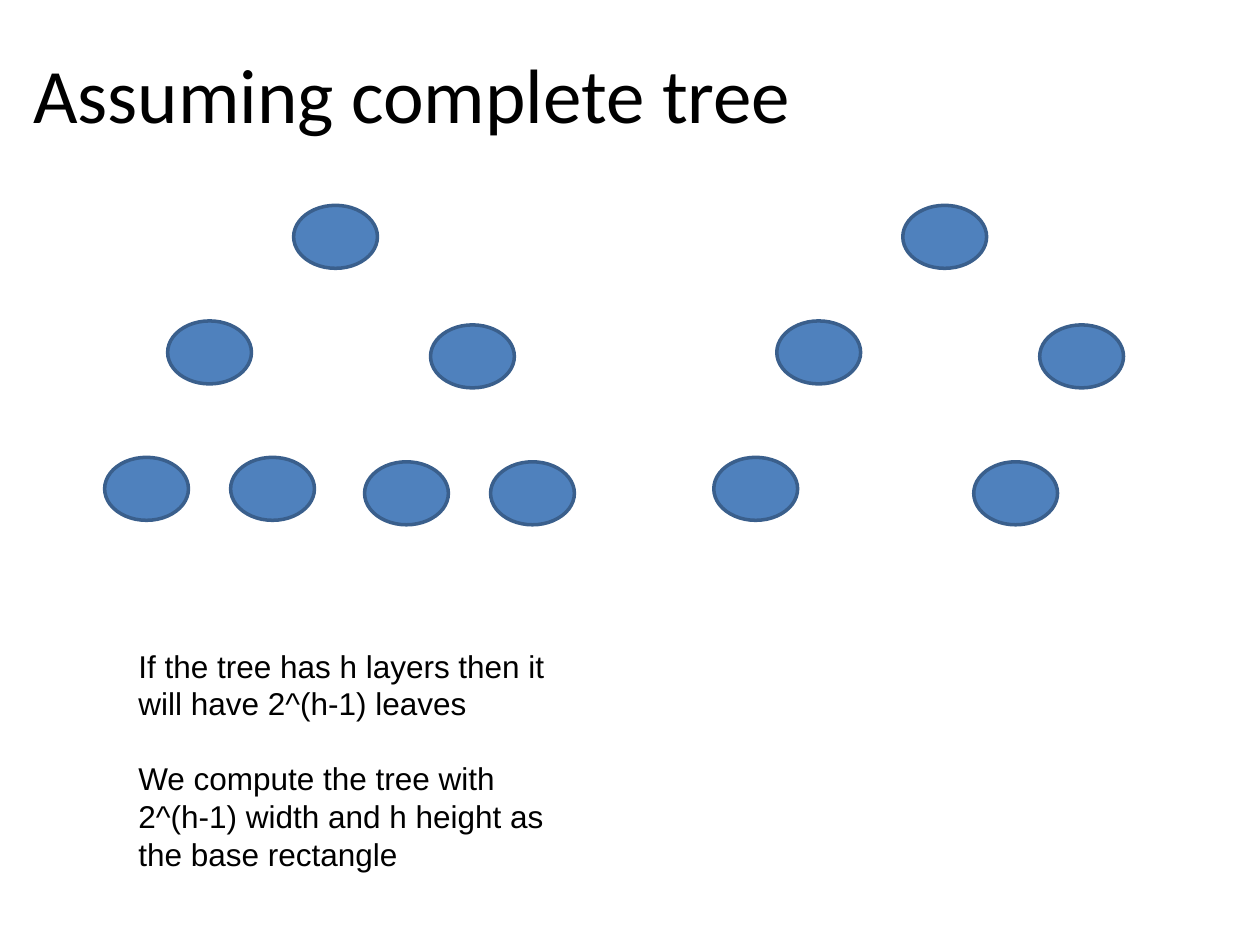
from pptx import Presentation
from pptx.dml.color import RGBColor
from pptx.enum.shapes import MSO_SHAPE
from pptx.enum.text import MSO_ANCHOR
from pptx.util import Cm, Pt


def color(hex_code):
    return RGBColor.from_string(hex_code)


class TreeSlide:
    TEXT = "000000"
    NODE_FILL = "4F81BD"
    NODE_LINE = "3A5F8C"
    NODE_WIDTH, NODE_HEIGHT = 1.69, 1.27

    def __init__(self, presentation):
        self.slide = presentation.slides.add_slide(presentation.slide_layouts[6])

    def text(self, left, top, width, height, paragraphs, font, size,
             anchor=MSO_ANCHOR.TOP, gap=0):
        """Add a text box with gap points between its paragraphs."""
        box = self.slide.shapes.add_textbox(Cm(left), Cm(top), Cm(width), Cm(height))
        frame = box.text_frame
        frame.word_wrap = True
        frame.vertical_anchor = anchor
        for index, wording in enumerate(paragraphs):
            paragraph = frame.paragraphs[0]
            if index:
                paragraph = frame.add_paragraph()
                paragraph.space_before = Pt(gap)
            run = paragraph.add_run()
            run.text = wording
            run.font.name = font
            run.font.size = Pt(size)
            run.font.color.rgb = color(self.TEXT)

    def node(self, left, top):
        oval = self.slide.shapes.add_shape(
            MSO_SHAPE.OVAL, Cm(left), Cm(top), Cm(self.NODE_WIDTH), Cm(self.NODE_HEIGHT))
        oval.shadow.inherit = False
        oval.fill.solid()
        oval.fill.fore_color.rgb = color(self.NODE_FILL)
        oval.line.color.rgb = color(self.NODE_LINE)
        oval.line.width = Pt(2)

    def tree(self, nodes, shift=0):
        """Add the nodes, moved right by shift."""
        for left, top in nodes:
            self.node(left + shift, top)


def main():
    presentation = Presentation()
    presentation.slide_width, presentation.slide_height = Cm(25.4), Cm(19.05)
    slide = TreeSlide(presentation)

    slide.text(0.42, 0.76, 24.56, 2.2, ["Assuming complete tree"],
               "Calibri", 44, MSO_ANCHOR.MIDDLE)

    inner_nodes = [(5.92, 4.14), (3.38, 6.47), (8.68, 6.55)]
    first_leaves = [(2.11, 9.22), (7.35, 9.31)]
    sibling_leaves = [(left + 2.54, top) for left, top in first_leaves]
    slide.tree(inner_nodes + first_leaves + sibling_leaves)
    slide.tree(inner_nodes + first_leaves, shift=12.28)

    slide.text(2.54, 12.91, 8.89, 4.87, [
        "If the tree has h layers then it will have 2^(h-1) leaves",
        "We compute the tree with 2^(h-1) width and h height as the base rectangle",
    ], "Arial", 18, gap=21)

    presentation.save("out.pptx")


if __name__ == "__main__":
    main()
